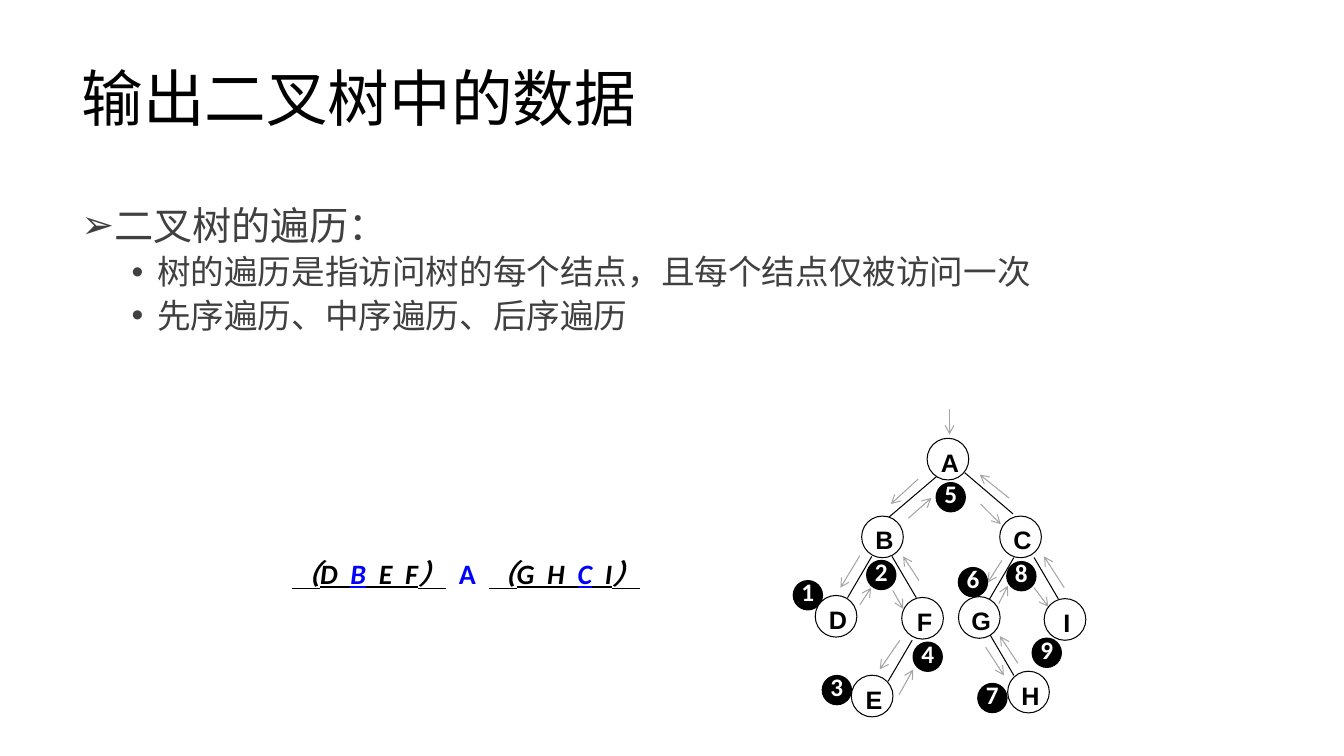
from dataclasses import dataclass

from lxml.etree import SubElement
from pptx import Presentation
from pptx.dml.color import RGBColor
from pptx.enum.shapes import MSO_CONNECTOR, MSO_SHAPE
from pptx.enum.text import MSO_ANCHOR, PP_ALIGN
from pptx.oxml.ns import qn
from pptx.util import Cm, Pt


@dataclass(frozen=True)
class Theme:
    black: RGBColor = RGBColor(0x00, 0x00, 0x00)
    white: RGBColor = RGBColor(0xFF, 0xFF, 0xFF)
    body: RGBColor = RGBColor(0x40, 0x40, 0x40)
    arrow: RGBColor = RGBColor(0xA5, 0xA5, 0xA5)
    accent: RGBColor = RGBColor(0x00, 0x00, 0xFF)
    title_size: Pt = Pt(44)
    topic_size: Pt = Pt(28)
    point_size: Pt = Pt(24)
    order_size: Pt = Pt(20)
    label_size: Pt = Pt(18)
    line_width: Pt = Pt(0.75)


theme = Theme()
deck = Presentation()
deck.slide_width, deck.slide_height = Cm(33.87), Cm(19.05)
page = deck.slides.add_slide(deck.slide_layouts[5])
shapes = page.shapes


def add_line(x1, y1, x2, y2, color):
    line = shapes.add_connector(MSO_CONNECTOR.STRAIGHT, Cm(x1), Cm(y1), Cm(x2), Cm(y2))
    line.line.color.rgb = color
    line.line.width = theme.line_width
    SubElement(line._element.spPr, qn("a:effectLst"))
    return line


def add_disc(text, x, y, diameter, fill, color, font_name):
    """Add a labelled circle centred on (x, y)."""
    corner = diameter / 2
    disc = shapes.add_shape(MSO_SHAPE.OVAL, Cm(x - corner), Cm(y - corner), Cm(diameter), Cm(diameter))
    disc.shadow.inherit = False
    disc.fill.solid()
    disc.fill.fore_color.rgb = fill
    disc.line.color.rgb = theme.black
    disc.line.width = theme.line_width
    frame = disc.text_frame
    frame.word_wrap = False
    frame.vertical_anchor = MSO_ANCHOR.MIDDLE
    frame.margin_left = frame.margin_right = frame.margin_top = frame.margin_bottom = 0
    para = frame.paragraphs[0]
    para.text = text
    para.alignment = PP_ALIGN.CENTER
    para.font.name, para.font.size, para.font.bold = font_name, theme.label_size, True
    para.font.color.rgb = color
    return frame


# Title
title = shapes.title
title.left, title.top, title.width, title.height = Cm(1.8), Cm(0.71), Cm(29.21), Cm(3.68)
title.text_frame.vertical_anchor = MSO_ANCHOR.MIDDLE
para = title.text_frame.paragraphs[0]
para.text = "输出二叉树中的数据"
para.alignment = PP_ALIGN.LEFT
para.line_spacing = 0.9
para.font.name, para.font.size = "Arial", theme.title_size
para.font.color.rgb = theme.black

# Bulleted explanation
points = [
    (0, "➢", "二叉树的遍历："),
    (1, "•", "树的遍历是指访问树的每个结点，且每个结点仅被访问一次"),
    (1, "•", "先序遍历、中序遍历、后序遍历"),
]
box = shapes.add_textbox(Cm(1.8), Cm(5.08), Cm(29.21), Cm(12.09))
box.text_frame.word_wrap = True
for index, (level, bullet, text) in enumerate(points):
    para = box.text_frame.add_paragraph() if index else box.text_frame.paragraphs[0]
    para.text = text
    para.level = level
    para.line_spacing = 0.9
    para.space_before = Pt(5 if level else 10)
    properties = para._p.get_or_add_pPr()
    properties.set("marL", str(Cm(1.91 if level else 0.64)))
    properties.set("indent", str(-Cm(0.64)))
    SubElement(properties, qn("a:buFont")).set("typeface", "Arial")
    SubElement(properties, qn("a:buChar")).set("char", bullet)
    para.font.name = "Arial"
    para.font.size = theme.point_size if level else theme.topic_size
    para.font.color.rgb = theme.body

# Traversal arrows: start x, start y, end x, end y in cm
walk = [
    (23.93, 10.31, 23.93, 10.95), (23.14, 12.07, 22.45, 12.7),
    (21.67, 14, 21.18, 14.81), (21.67, 15.24, 21.95, 14.81),
    (22.5, 14.88, 22.76, 15.34), (22.68, 16.13, 22.17, 16.87),
    (22.66, 17.5, 23.01, 16.87), (23.16, 14.63, 22.76, 14.02),
    (22.89, 13.06, 23.47, 12.55), (24.71, 12.7, 25.22, 13.21),
    (25.25, 14.12, 24.89, 14.68), (24.84, 16.31, 25.3, 17.02),
    (25.65, 16.71, 25.2, 16.03), (25.17, 15.21, 25.4, 14.76),
    (26.06, 14.81, 26.42, 15.29), (26.82, 14.81, 26.31, 14.02),
    (25.43, 12.55, 24.69, 11.96),
]
for step in walk:
    arrow = add_line(*step, theme.arrow)
    SubElement(arrow.line._get_or_add_ln(), qn("a:tailEnd")).set("type", "arrow")

# Tree edges: start x, start y, horizontal run; all drop by the same height
edge_drop = 1.04
edges = [
    (23.6, 12.01, -1.22), (24.31, 11.91, 1.22),
    (21.97, 14.02, -0.61), (22.48, 14.02, 0.61),
    (25.55, 14.05, -0.61), (26.06, 14.05, 0.61),
    (22.99, 16.13, -0.61), (24.94, 15.98, 0.61),
]
for x, y, run in edges:
    add_line(x, y, x + run, y + edge_drop, theme.black)

# Visit numbers, in order
badge_centres = [
    (20.36, 15), (22.21, 14.49), (21.09, 17.39), (23.38, 16.55), (23.96, 12.53),
    (24.52, 14.67), (25.01, 17.59), (25.74, 14.52), (26.38, 16.45),
]
for number, (x, y) in enumerate(badge_centres, start=1):
    frame = add_disc(str(number), x, y, 0.74, theme.black, theme.white, "Calibri")
    frame.margin_bottom = Cm(0.18)

# Tree nodes
nodes = {
    "A": (23.89, 11.57), "B": (22.24, 13.53), "C": (25.72, 13.53),
    "D": (21.07, 15.53), "F": (23.25, 15.58), "G": (24.68, 15.56),
    "I": (26.84, 15.61), "E": (21.98, 17.54), "H": (25.92, 17.44),
}
for letter, (x, y) in nodes.items():
    frame = add_disc(letter, x, y, 1.05, theme.white, theme.black, "Arial")
    frame.margin_left, frame.margin_top = Cm(0.1), Cm(0.15)

# In-order sequence: text, colour, italic, underline
sequence = [
    ("（D  ", theme.black, True, True), ("B", theme.accent, True, True),
    ("  E  F）", theme.black, True, True), ("  ", theme.black, True, False),
    ("A  ", theme.accent, False, False), ("（G  H  ", theme.black, True, True),
    ("C", theme.accent, True, True), ("  I）", theme.black, True, True),
]
box = shapes.add_textbox(Cm(5.11), Cm(13.89), Cm(13.28), Cm(1.12))
box.fill.solid()
box.fill.fore_color.rgb = theme.white
box.text_frame.word_wrap = True
para = box.text_frame.paragraphs[0]
para.alignment = PP_ALIGN.CENTER
para.font.name, para.font.size, para.font.bold = "Calibri", theme.order_size, True
for text, color, italic, underline in sequence:
    span = para.add_run()
    span.text = text
    span.font.color.rgb = color
    span.font.italic, span.font.underline = italic, underline

deck.save("out.pptx")
